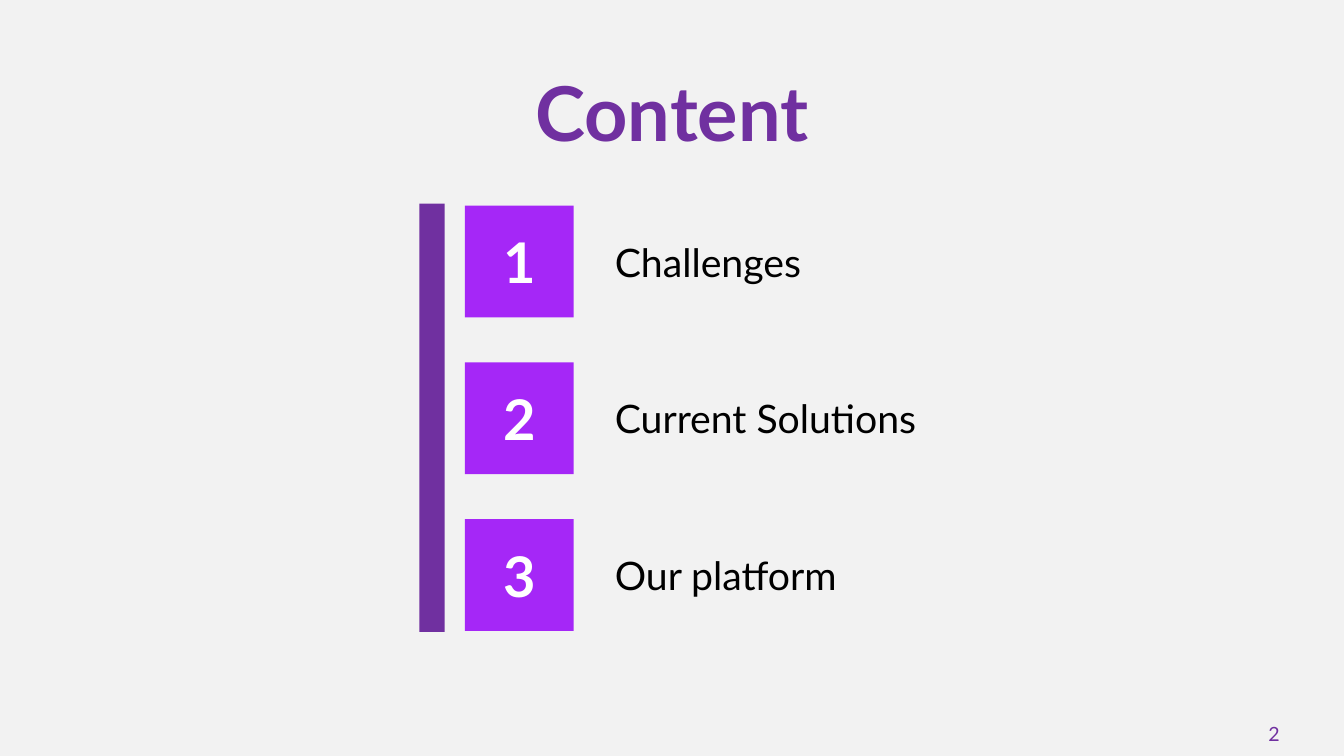
from pptx import Presentation
from pptx.dml.color import RGBColor
from pptx.enum.shapes import MSO_SHAPE
from pptx.enum.text import MSO_ANCHOR, PP_ALIGN
from pptx.util import Inches, Pt

HEADING = "Content"
TOPICS = ["Challenges", "Current Solutions", "Our platform"]
PAGE_NUMBER = "2"

FONT = "Lato"
PURPLE, VIOLET = "7030A0", "A527F7"
WHITE, BLACK, PALE_GREY = "FFFFFF", "000000", "F2F2F2"

TILE_LEFT, TILE_WIDTH, TILE_HEIGHT = 4.61, 1.08, 1.11
FIRST_TOP, TOPIC_PITCH = 2.04, 1.555
LABEL_LEFT, LABEL_WIDTH = 6, 3.45


def paint(fill, color):
    fill.solid()
    fill.fore_color.rgb = RGBColor.from_string(color)


def write(holder, text, size, color, bold=False, align=PP_ALIGN.LEFT, spacing=None):
    frame = holder.text_frame
    frame.word_wrap = True
    frame.vertical_anchor = MSO_ANCHOR.MIDDLE
    paragraph = frame.paragraphs[0]
    paragraph.alignment = align
    paragraph.line_spacing = spacing
    run = paragraph.add_run()
    run.text = text
    run.font.name = FONT
    run.font.size = Pt(size)
    run.font.bold = bold
    run.font.color.rgb = RGBColor.from_string(color)


def add_block(slide, left, top, width, height, color):
    block = slide.shapes.add_shape(
        MSO_SHAPE.RECTANGLE, Inches(left), Inches(top), Inches(width), Inches(height))
    block.shadow.inherit = False
    paint(block.fill, color)
    block.line.fill.background()
    return block


def add_label(slide, left, top, width, height):
    return slide.shapes.add_textbox(
        Inches(left), Inches(top), Inches(width), Inches(height))


def main():
    deck = Presentation()
    deck.slide_width, deck.slide_height = Inches(13.33), Inches(7.5)
    slide = deck.slides.add_slide(deck.slide_layouts[5])
    paint(slide.background.fill, PALE_GREY)

    heading = slide.shapes.title
    heading.left, heading.top = Inches(4.61), Inches(0.73)
    heading.width, heading.height = Inches(4.11), Inches(0.86)
    write(heading, HEADING, 54, PURPLE, bold=True, align=PP_ALIGN.CENTER, spacing=0.89)

    for number, topic in enumerate(TOPICS, start=1):
        top = FIRST_TOP + (number - 1) * TOPIC_PITCH
        tile = add_block(slide, TILE_LEFT, top, TILE_WIDTH, TILE_HEIGHT, VIOLET)
        write(tile, str(number), 40, WHITE, bold=True, align=PP_ALIGN.CENTER)
        label = add_label(slide, LABEL_LEFT, top, LABEL_WIDTH, TILE_HEIGHT)
        write(label, topic, 28, BLACK)

    add_block(slide, 4.16, 2.02, 0.25, 4.25, PURPLE)

    page_number = add_label(slide, 11.04, 7.06, 1.75, 0.44)
    write(page_number, PAGE_NUMBER, 14, PURPLE, align=PP_ALIGN.RIGHT)

    deck.save("out.pptx")


if __name__ == "__main__":
    main()
